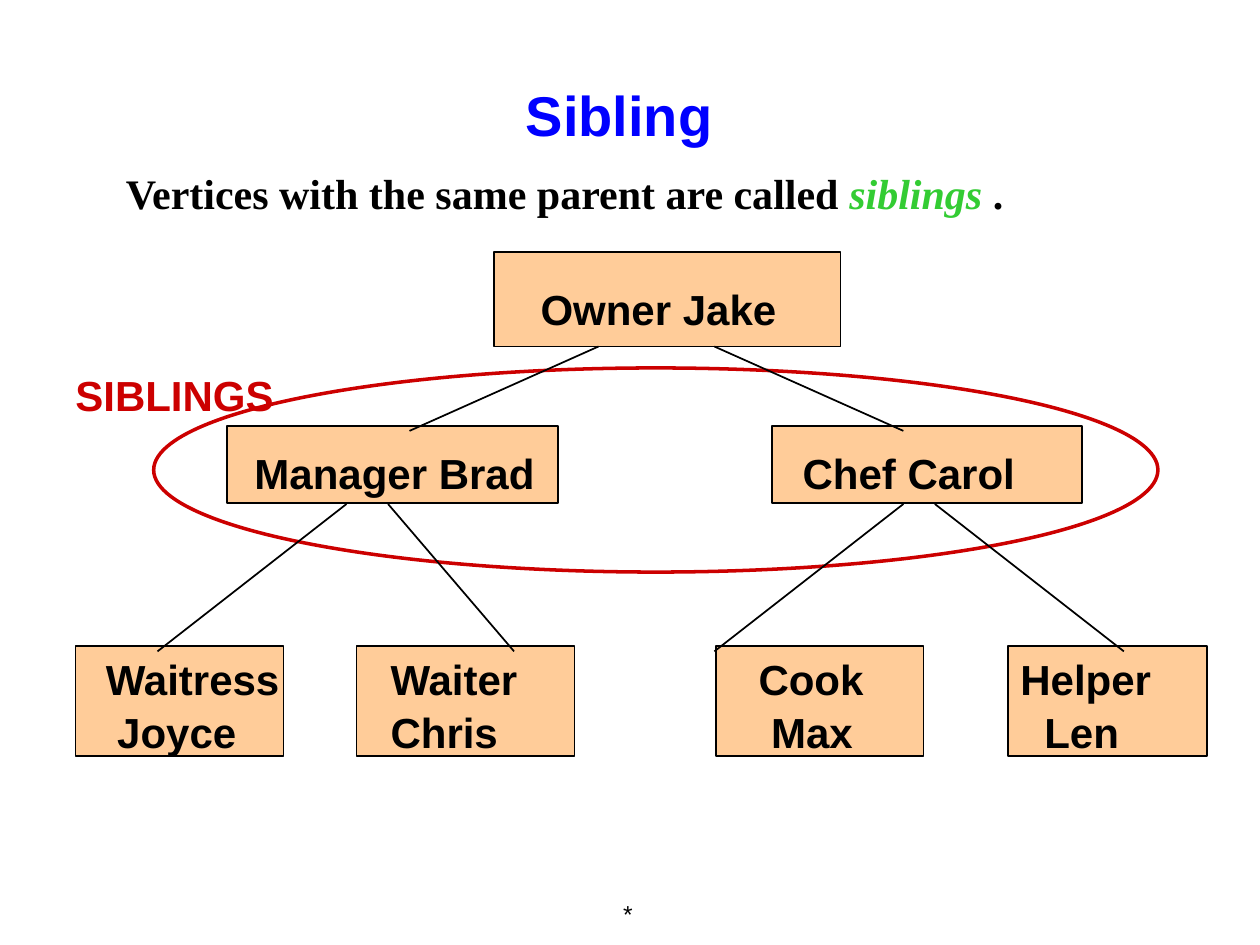
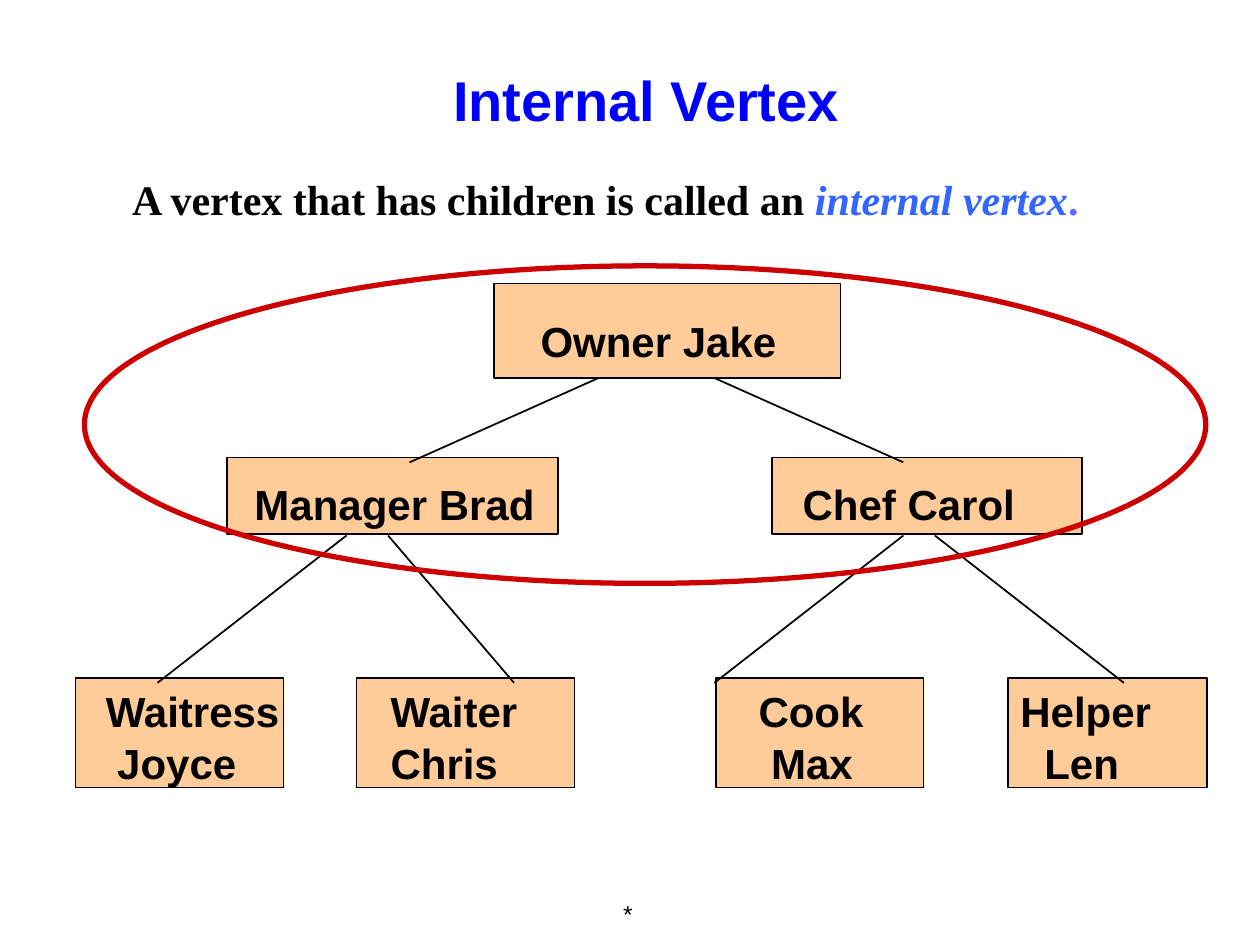
import dataclasses

import pptx
import pptx.dml.color
import pptx.enum.shapes
import pptx.enum.text
import pptx.util
from lxml import etree

Inches = pptx.util.Inches
Align = pptx.enum.text.PP_ALIGN
Preset = pptx.enum.shapes.MSO_SHAPE
Color = pptx.dml.color.RGBColor.from_string


@dataclasses.dataclass(frozen=True)
class Theme:
    heading_font: str = "Arial"
    body_font: str = "Times New Roman"
    black: str = "000000"
    title_blue: str = "0000FF"
    node_fill: str = "FFCC99"
    highlight: str = "CC0000"
    sibling_green: str = "33CC33"
    vertex_blue: str = "3366FF"
    period_blue: str = "6666FF"
    title_size: int = 32
    text_size: int = 24
    footer_size: int = 14


theme = Theme()


def add_text(paragraph, text, size=theme.text_size, font=theme.heading_font,
             color=theme.black, bold=True, italic=False, align=Align.LEFT):
    paragraph.alignment = align
    run = paragraph.add_run()
    run.text = text
    run.font.name = font
    run.font.size = pptx.util.Pt(size)
    run.font.bold = bold
    run.font.italic = italic
    run.font.color.rgb = Color(color)


def add_outlined(slide, preset, bounds, line_color, line_width, fill=None):
    shape = slide.shapes.add_shape(preset, *map(Inches, bounds))
    shape.shadow.inherit = False
    if fill:
        shape.fill.solid()
        shape.fill.fore_color.rgb = Color(fill)
    else:
        shape.fill.background()
    shape.line.color.rgb = Color(line_color)
    shape.line.width = pptx.util.Pt(line_width)
    return shape


green = {"color": theme.sibling_green, "italic": True}
blue = {"color": theme.vertex_blue, "italic": True}
slide_contents = [
    {
        "title": "Sibling",
        "title_bounds": (0.9, 0.59, 8.03, 0.64),
        "definition": [("Vertices with the same parent are called ", {}),
                       ("siblings", green), (" .", {})],
        "definition_bounds": (0.9, 1.28, 8.03, 0.5),
        "tree_top": 2,
        "ellipse": (1.22, 2.92, 7.97, 1.62),
        "ellipse_width": 2,
        "ellipse_label": "SIBLINGS",
    },
    {
        "title": "Internal Vertex",
        "title_bounds": (0.63, 0.47, 9, 0.77),
        "definition": [("A vertex that has children is called an ", {}),
                       ("internal vertex", blue),
                       (".", {"color": theme.period_blue})],
        "definition_bounds": (0.95, 1.33, 8.75, 0.98),
        "tree_top": 2.25,
        "ellipse": (0.67, 2.11, 8.9, 2.52),
        "ellipse_width": 3,
        "ellipse_label": None,
    },
]

tree_levels = [
    {"top": 0, "height": 0.75, "inset": 0.25,
     "nodes": [(3.92, 2.75, 0.37, [("Owner Jake", 0)])]},
    {"top": 1.38, "height": 0.61, "inset": 0.17,
     "nodes": [(1.8, 2.63, 0.22, [("Manager Brad", 0)]),
               (6.13, 2.46, 0.24, [("Chef Carol", 0)])]},
    {"top": 3.13, "height": 0.87, "inset": 0.06,
     "nodes": [(0.6, 1.65, 0.24, [("Waitress", 0), ("Joyce", 0.09)]),
               (2.83, 1.73, 0.27, [("Waiter", 0), ("Chris", 0)]),
               (5.68, 1.65, 0.34, [("Cook", 0), ("Max", 0.1)]),
               (8, 1.58, 0.1, [("Helper", 0), ("Len", 0.19)])]},
]
branch_levels = [
    (0.75, 1.42, [(4.75, 3.25), (5.67, 7.17)]),
    (2, 3.17, [(2.75, 1.25), (7.17, 5.67), (3.08, 4.08), (7.42, 8.92)]),
]

presentation = pptx.Presentation()
presentation.slide_width = Inches(10)
presentation.slide_height = Inches(7.5)

for content in slide_contents:
    slide = presentation.slides.add_slide(presentation.slide_layouts[6])
    tree_top = content["tree_top"]

    footer = slide.shapes.add_textbox(Inches(4.45), Inches(7), Inches(0.67), Inches(0.5))
    footer.text_frame.word_wrap = True
    footer.text_frame.vertical_anchor = pptx.enum.text.MSO_ANCHOR.MIDDLE
    add_text(footer.text_frame.paragraphs[0], "*", size=theme.footer_size,
             bold=False, align=Align.RIGHT)

    title = slide.shapes.add_textbox(*map(Inches, content["title_bounds"]))
    title.text_frame.word_wrap = True
    add_text(title.text_frame.paragraphs[0], content["title"], size=theme.title_size,
             color=theme.title_blue, align=Align.CENTER)

    definition = slide.shapes.add_textbox(*map(Inches, content["definition_bounds"]))
    definition.text_frame.word_wrap = True
    for text, emphasis in content["definition"]:
        add_text(definition.text_frame.paragraphs[0], text, font=theme.body_font, **emphasis)

    if content["ellipse_label"]:
        label = slide.shapes.add_textbox(Inches(0.5), Inches(2.88), Inches(1.78), Inches(0.5))
        label.text_frame.word_wrap = False
        add_text(label.text_frame.paragraphs[0], content["ellipse_label"],
                 color=theme.highlight)
        add_outlined(slide, Preset.OVAL, content["ellipse"], theme.highlight,
                     content["ellipse_width"])

    for level in tree_levels:
        for left, width, text_inset, lines in level["nodes"]:
            bounds = (left, tree_top + level["top"], width, level["height"])
            node = add_outlined(slide, Preset.RECTANGLE, bounds, theme.black, 1,
                                theme.node_fill)
            frame = node.text_frame
            frame.word_wrap = True
            frame.vertical_anchor = pptx.enum.text.MSO_ANCHOR.TOP
            frame.margin_left = Inches(text_inset)
            frame.margin_top = Inches(level["inset"])
            frame.margin_right = frame.margin_bottom = 0
            for index, (text, indent) in enumerate(lines):
                paragraph = frame.add_paragraph() if index else frame.paragraphs[0]
                add_text(paragraph, text)
                paragraph.space_before = pptx.util.Pt(index)
                paragraph._p.get_or_add_pPr().set("marL", str(Inches(indent)))

    for start_y, end_y, branches in branch_levels:
        for start_x, end_x in branches:
            branch = slide.shapes.add_connector(
                pptx.enum.shapes.MSO_CONNECTOR.STRAIGHT,
                Inches(start_x), Inches(tree_top + start_y),
                Inches(end_x), Inches(tree_top + end_y))
            branch.line.color.rgb = Color(theme.black)
            branch.line.width = pptx.util.Pt(1)
            properties = branch._element.spPr
            etree.SubElement(properties, pptx.oxml.ns.qn("a:effectLst"))

    if not content["ellipse_label"]:
        add_outlined(slide, Preset.OVAL, content["ellipse"], theme.highlight,
                     content["ellipse_width"])

presentation.save("out.pptx")
